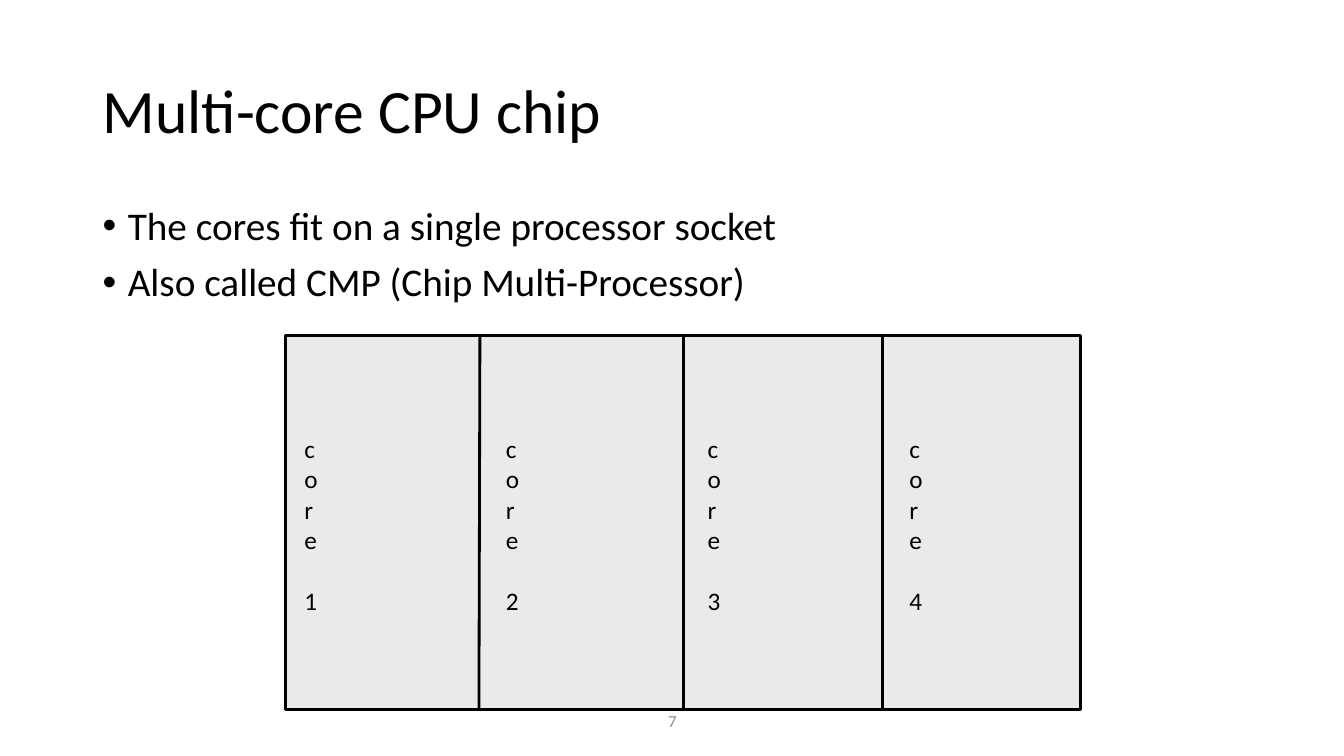
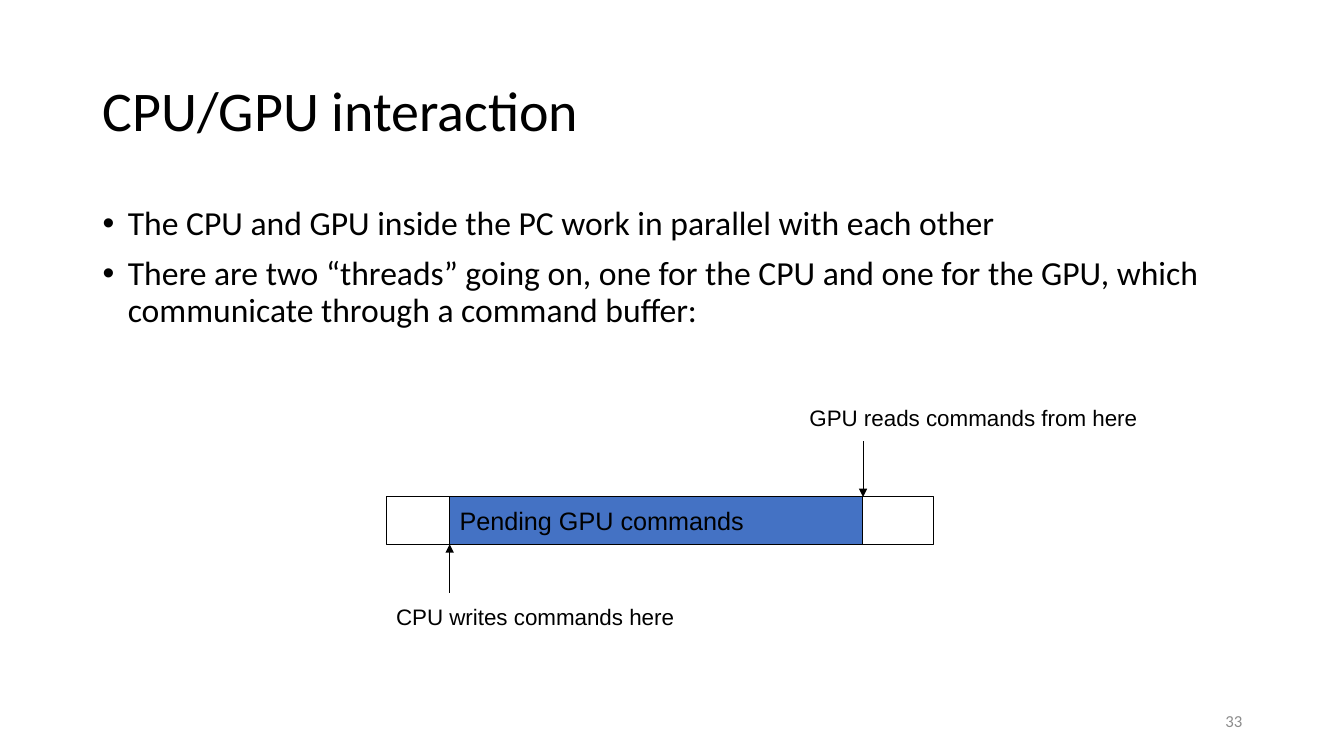
from pptx import Presentation
from pptx.dml.color import RGBColor
from pptx.enum import shapes, text
from pptx.oxml import ns
from pptx.util import Inches, Pt
from lxml import etree

BLACK = RGBColor(0x00, 0x00, 0x00)
WHITE = RGBColor(0xFF, 0xFF, 0xFF)
GRAY = RGBColor(0x8C, 0x8C, 0x8C)
PALE = RGBColor(0xEA, 0xEA, 0xEA)
BLUE = RGBColor(0x44, 0x72, 0xC4)

LEFT = text.PP_ALIGN.LEFT
TOP = text.MSO_ANCHOR.TOP
MID = text.MSO_ANCHOR.MIDDLE


def write(frame, lines, size, font="Calibri", color=BLACK, align=LEFT,
          anchor=TOP, space=1.0, gap=0, bullet=False):
    """Fill a text frame, one paragraph for each line."""
    frame.word_wrap = True
    frame.vertical_anchor = anchor
    for i, line in enumerate(lines):
        para = frame.paragraphs[0] if i == 0 else frame.add_paragraph()
        if bullet:
            props = para._p.get_or_add_pPr()
            props.set("marL", str(Inches(0.25)))
            props.set("indent", str(-Inches(0.25)))
            face = etree.SubElement(props, ns.qn("a:buFont"))
            face.set("typeface", "Arial")
            mark = etree.SubElement(props, ns.qn("a:buChar"))
            mark.set("char", "•")
        para.alignment = align
        para.line_spacing = space
        if i:
            para.space_before = Pt(gap)
        run = para.add_run()
        run.text = line
        run.font.name = font
        run.font.size = Pt(size)
        run.font.color.rgb = color


class Deck:
    def __init__(self):
        self.prs = Presentation()
        self.prs.slide_width = Inches(13.33)
        self.prs.slide_height = Inches(7.5)
        self.slide = None

    def page(self, title, size, points, body):
        """Start a slide with its title and bullet points."""
        self.slide = self.prs.slides.add_slide(self.prs.slide_layouts[6])
        self.label(0.92, 0.4, 11.5, 1.45, [title], size=size,
                   anchor=MID, space=0.9)
        self.label(0.92, 2, 11.5, 1.3, points, size=body, space=0.9,
                   gap=10, bullet=True)

    def label(self, x, y, w, h, lines, **style):
        box = self.slide.shapes.add_textbox(
            Inches(x), Inches(y), Inches(w), Inches(h))
        write(box.text_frame, lines, **style)

    def number(self, value, x, w, align):
        self.label(x, 6.95, w, 0.4, [value], size=12, color=GRAY,
                   align=align, anchor=MID)

    def rect(self, x, y, w, h, fill, width, lines=(), **style):
        box = self.slide.shapes.add_shape(
            shapes.MSO_SHAPE.RECTANGLE,
            Inches(x), Inches(y), Inches(w), Inches(h))
        box.shadow.inherit = False
        box.fill.solid()
        box.fill.fore_color.rgb = fill
        box.line.color.rgb = BLACK
        box.line.width = Pt(width)
        if lines:
            write(box.text_frame, lines, **style)

    def line(self, x1, y1, x2, y2, width, arrow=False):
        link = self.slide.shapes.add_connector(
            shapes.MSO_CONNECTOR.STRAIGHT,
            Inches(x1), Inches(y1), Inches(x2), Inches(y2))
        link.line.color.rgb = BLACK
        link.line.width = Pt(width)
        if arrow:
            tip = etree.SubElement(link.line._get_or_add_ln(),
                                   ns.qn("a:tailEnd"))
            tip.set("type", "triangle")
        etree.SubElement(link._element.spPr, ns.qn("a:effectLst"))


def cores(deck):
    deck.page("Multi-core CPU chip", 44,
              ["The cores fit on a single processor socket",
               "Also called CMP (Chip Multi-Processor)"], 28)
    deck.number("7", 4.42, 4.5, text.PP_ALIGN.CENTER)

    # Chip with its dividers
    top, high = 3.33, 3.71
    deck.rect(2.83, top, 7.89, high, PALE, 2)
    for x1, x2 in ((4.76, 4.75), (6.78, 6.78), (8.75, 8.75)):
        deck.line(x1, top, x2, top + high, 2)

    # Narrow labels that wrap letter by letter
    for i in range(4):
        deck.label(2.92 + 2 * i, 4.25, 0.36, 1.9, ["core", str(i + 1)],
                   size=18, gap=22)


def buffer(deck):
    deck.page("CPU/GPU interaction", 40,
              ["The CPU and GPU inside the PC work in parallel with each other",
               "There are two “threads” going on, one for the CPU and one for "
               "the GPU, which communicate through a command buffer:"], 24)
    deck.number("33", 9.42, 3, text.PP_ALIGN.RIGHT)

    # Command buffer with its pending part
    top, high = 4.93, 0.47
    start, end = 4.46, 8.56
    note = dict(font="Arial", anchor=MID)
    deck.rect(3.83, top, 5.43, high, WHITE, 0.75)
    deck.rect(start, top, end - start, high, BLUE, 0.75,
              ["Pending GPU commands"], size=18, **note)

    # Write and read positions
    deck.line(end, 4.38, end, top, 0.75, arrow=True)
    deck.line(start, 5.88, start, top + high, 0.75, arrow=True)
    deck.label(3.83, 5.88, 3.6, high, ["CPU writes commands here"],
               size=16, **note)
    deck.label(7.93, 3.91, 3.6, high, ["GPU reads commands from here"],
               size=16, **note)


def main():
    deck = Deck()
    cores(deck)
    buffer(deck)
    deck.prs.save("out.pptx")


if __name__ == "__main__":
    main()
